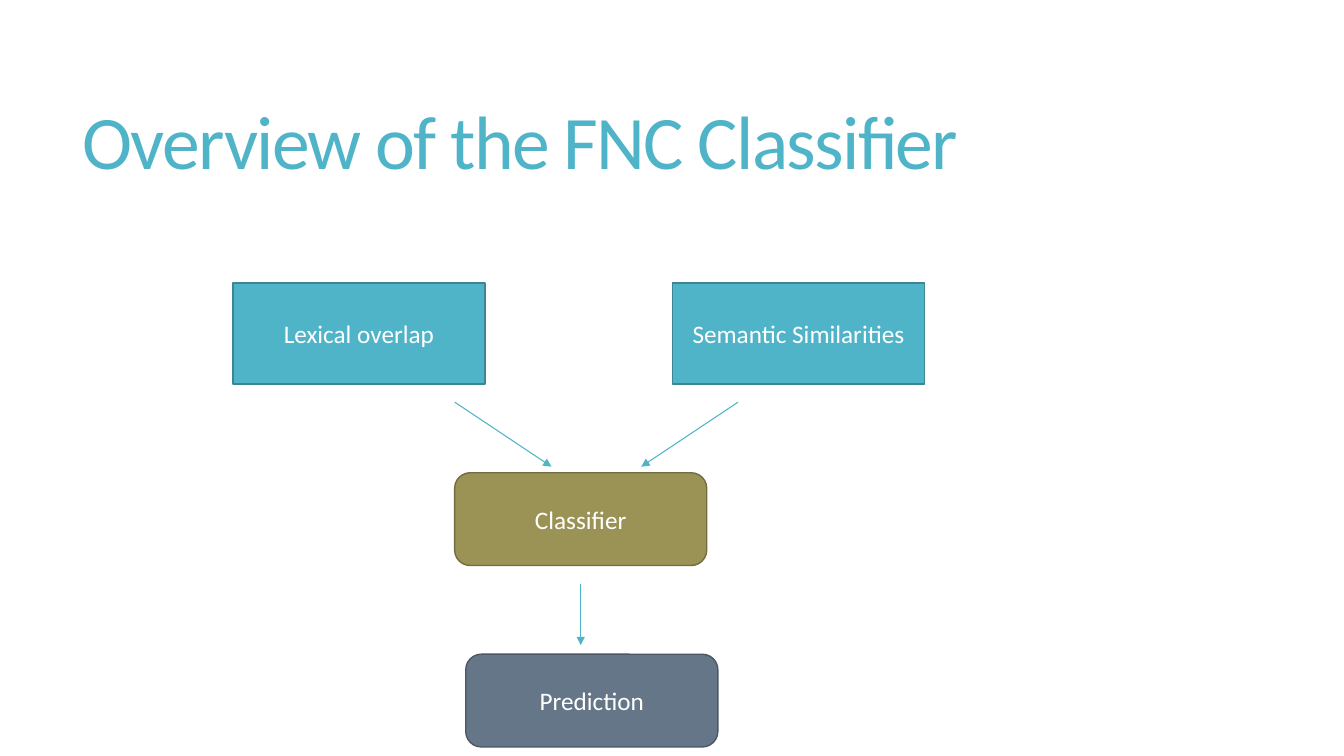
from lxml import etree
from pptx import Presentation
from pptx.dml.color import RGBColor
from pptx.enum.shapes import MSO_CONNECTOR, MSO_SHAPE
from pptx.enum.text import MSO_ANCHOR, PP_ALIGN
from pptx.oxml.ns import qn
from pptx.util import Inches, Pt

RECT, ROUNDED = MSO_SHAPE.RECTANGLE, MSO_SHAPE.ROUNDED_RECTANGLE
STRAIGHT = MSO_CONNECTOR.STRAIGHT
MIDDLE, CENTER = MSO_ANCHOR.MIDDLE, PP_ALIGN.CENTER

COLORS = {
    "teal": "50B4C8", "teal_edge": "3B8594",
    "olive": "9B9256", "olive_edge": "736C40",
    "slate": "657689", "slate_edge": "4B5765",
    "white": "FFFFFF",
}
FRAME_FORMAT = {"word_wrap": True, "vertical_anchor": MIDDLE}
TITLE_FONT = {"name": "Calibri", "size": Pt(54)}
STAGE_FONT = {"name": "Calibri", "size": Pt(18)}
STAGE_WIDTH = 2.5
STAGES = [
    ("Lexical overlap", RECT, "teal", 0, 0, 1),
    ("Semantic Similarities", RECT, "teal", 4.36, 0, 1),
    ("Classifier", ROUNDED, "olive", 2.2, 1.88, 0.92),
    ("Prediction", ROUNDED, "slate", 2.31, 3.68, 0.92),
]
FLOWS = [
    (2.2, 1.18, 3.16, 1.82),
    (5.01, 1.18, 4.05, 1.82),
    (3.45, 2.98, 3.45, 3.59),
]


def color(key):
    return RGBColor.from_string(COLORS[key])


def apply_format(target, values):
    for attribute, value in values.items():
        setattr(target, attribute, value)


def write_text(shape, wording, font_format, color_key):
    apply_format(shape.text_frame, FRAME_FORMAT)
    paragraph = shape.text_frame.paragraphs[0]
    run = paragraph.add_run()
    run.text = wording
    apply_format(run.font, font_format)
    run.font.color.rgb = color(color_key)
    return paragraph, run


def add_title(slide, left, top, width, height):
    title = slide.shapes.add_textbox(
        Inches(left), Inches(top), Inches(width), Inches(height))
    paragraph, run = write_text(
        title, "Overview of the FNC Classifier", TITLE_FONT, "teal")
    paragraph.line_spacing = 0.85
    run.font._element.set("spc", "-120")


def add_stage(slide, wording, outline, palette, left, top, height):
    stage = slide.shapes.add_shape(
        outline, Inches(left), Inches(top), Inches(STAGE_WIDTH), Inches(height))
    stage.shadow.inherit = False
    stage.fill.solid()
    stage.fill.fore_color.rgb = color(palette)
    stage.line.color.rgb = color(palette + "_edge")
    stage.line.width = Pt(1)
    paragraph, _ = write_text(stage, wording, STAGE_FONT, "white")
    paragraph.alignment = CENTER


def add_flow(slide, x1, y1, x2, y2):
    flow = slide.shapes.add_connector(
        STRAIGHT, Inches(x1), Inches(y1), Inches(x2), Inches(y2))
    flow.line.color.rgb = color("teal")
    flow.line.width = Pt(0.75)
    properties = flow._element.spPr
    etree.SubElement(properties.find(qn("a:ln")), qn("a:tailEnd"), type="triangle")
    etree.SubElement(properties, qn("a:effectLst"))


def add_pipeline(slide, left, top):
    for wording, outline, palette, x, y, height in STAGES:
        add_stage(slide, wording, outline, palette, left + x, top + y, height)
    for x1, y1, x2, y2 in FLOWS:
        add_flow(slide, left + x1, top + y1, left + x2, top + y2)


def main():
    presentation = Presentation()
    apply_format(presentation, {
        "slide_width": Inches(13.33), "slide_height": Inches(7.5)})
    slide = presentation.slides.add_slide(presentation.slide_layouts[6])
    add_title(slide, 0.72, 0.55, 11.78, 1.81)
    add_pipeline(slide, 2.31, 2.81)
    presentation.save("out.pptx")


if __name__ == "__main__":
    main()
